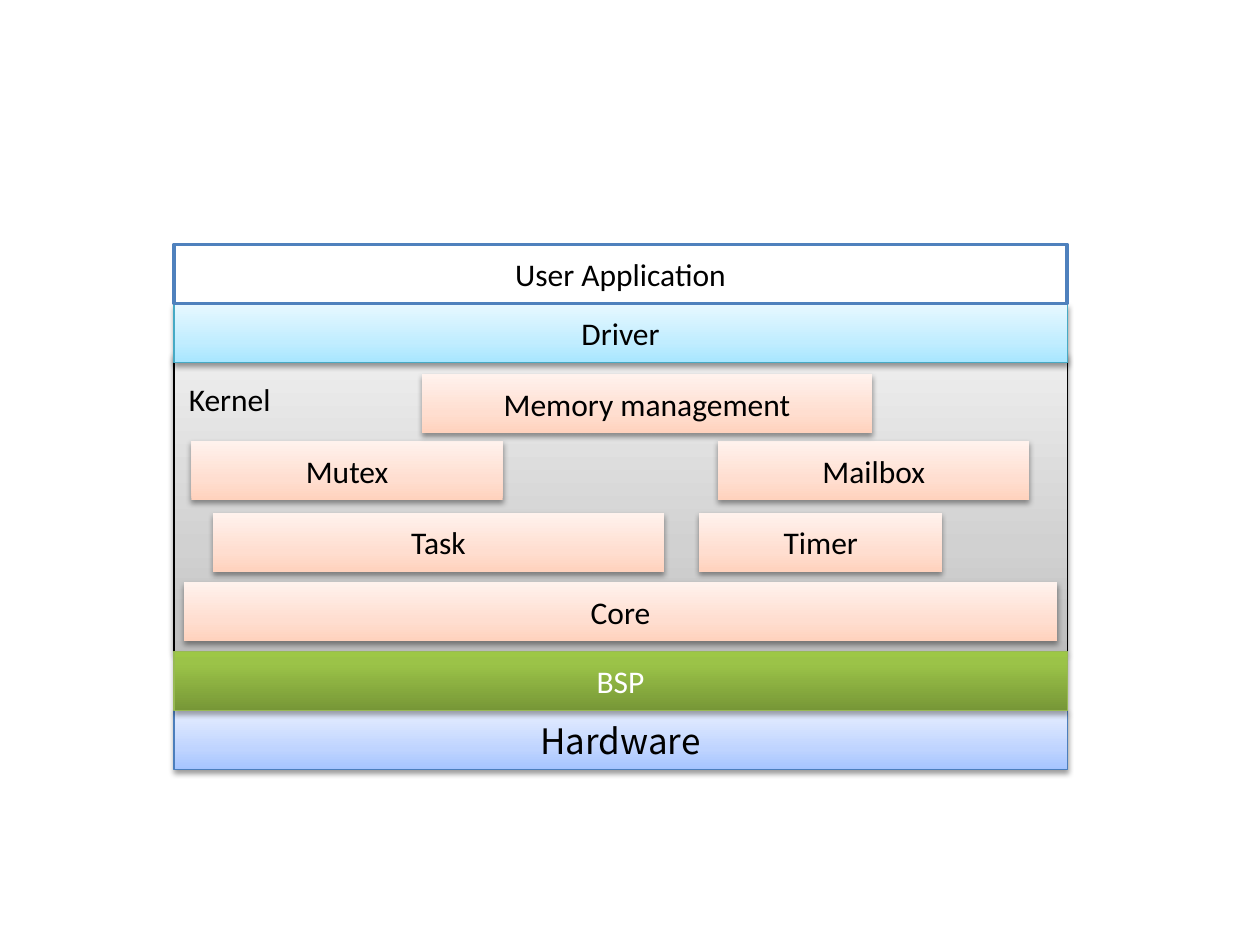
from copy import deepcopy

from lxml import etree
from pptx import Presentation
from pptx.dml.color import RGBColor
from pptx.enum.shapes import MSO_SHAPE
from pptx.enum.text import MSO_ANCHOR, MSO_AUTO_SIZE, PP_ALIGN
from pptx.oxml.ns import qn
from pptx.util import Inches, Pt

RECT = MSO_SHAPE.RECTANGLE
MIDDLE = MSO_ANCHOR.MIDDLE
CENTER = PP_ALIGN.CENTER
FIT = MSO_AUTO_SIZE.SHAPE_TO_FIT_TEXT

STACK_LEFT, STACK_WIDTH, BAR_HEIGHT = 1.38, 7.09, 0.47
KERNEL_TOP, KERNEL_HEIGHT = 2.81, 2.36
BSP_TOP = KERNEL_TOP + KERNEL_HEIGHT
APP_TOP = 1.94
BODY_FONT, HARDWARE_FONT = "Calibri", "Noto Sans CJK SC"

GRAY = ((0, "BDBDBD"), (0.35, "D1D1D1"), (1, "EEEEEE"))
BLUE = ((0, "A4C4FF"), (0.35, "BFD4FF"), (1, "E6EEFF"))
GREEN = ((0, "779737"), (0.8, "9BC348"), (1, "9DC746"))
PEACH = ((0, "FFD2BD"), (0.35, "FFDED0"), (1, "FFF2ED"))
CYAN = ((0, "A7E6FF"), (0.35, "C1EDFF"), (1, "E7F8FF"))

LOWER_LAYERS = [
    dict(top=KERNEL_TOP, height=KERNEL_HEIGHT, stops=GRAY, line="000000"),
    dict(text="Hardware", top=BSP_TOP + BAR_HEIGHT, stops=BLUE, line="4B7EBC",
         size=20, font=HARDWARE_FONT),
    dict(text="BSP", top=BSP_TOP, stops=GREEN, line="98B955", color="FFFFFF",
         shadow=(35, 1.8)),
]
MODULES = [
    ("Core", 1.46, 4.62, 6.93),
    ("Task", 1.69, 4.07, 3.58),
    ("Timer", 5.55, 4.07, 1.93),
    ("Mutex", 1.52, 3.5, 2.47),
    ("Mailbox", 5.7, 3.5, 2.47),
    ("Memory management", 3.35, 2.97, 3.57),
]
UPPER_LAYERS = [
    dict(text="Driver", top=APP_TOP + BAR_HEIGHT, stops=CYAN, line="46AAC5"),
    dict(text="User Application", top=APP_TOP, line="4F81BD", line_width=2,
         shadow=None),
]


def rgb(value):
    return RGBColor.from_string(value)


def fill_gradient(sp, stops):
    sp.fill.gradient()
    sp.fill.gradient_angle = 90
    stop_list = sp._element.spPr.find(".//" + qn("a:gsLst"))
    stop_list.append(deepcopy(stop_list[-1]))
    for stop, (position, color) in zip(sp.fill.gradient_stops, stops):
        stop.position = position
        stop.color.rgb = rgb(color)


def add_shadow(sp, opacity, distance):
    effects = sp._element.spPr.find(qn("a:effectLst"))
    outer = etree.SubElement(effects, qn("a:outerShdw"), blurRad=str(Pt(3.15)),
                             dist=str(Pt(distance)), dir="5400000", rotWithShape="0")
    color = etree.SubElement(outer, qn("a:srgbClr"), val="000000")
    etree.SubElement(color, qn("a:alpha"), val=str(opacity * 1000))


def set_text(sp, text, size=18, font=BODY_FONT, color="000000"):
    p = sp.text_frame.paragraphs[0]
    p.text = text
    p.font.size = Pt(size)
    p.font.name = font
    p.font.color.rgb = rgb(color)
    return p


def add_block(slide, top, text=None, left=STACK_LEFT, width=STACK_WIDTH,
              height=BAR_HEIGHT, stops=None, line=None, line_width=0.75,
              shadow=(38, 1.6), **font):
    sp = slide.shapes.add_shape(RECT, Inches(left), Inches(top), Inches(width), Inches(height))
    sp.shadow.inherit = False
    if stops:
        fill_gradient(sp, stops)
    else:
        sp.fill.solid()
        sp.fill.fore_color.rgb = rgb("FFFFFF")
    if line:
        sp.line.color.rgb = rgb(line)
        sp.line.width = Pt(line_width)
    else:
        sp.line.fill.background()
    if shadow:
        add_shadow(sp, *shadow)
    if text:
        sp.text_frame.vertical_anchor = MIDDLE
        set_text(sp, text, **font).alignment = CENTER


def main():
    """Build the layered diagram of an embedded operating system."""
    prs = Presentation()
    prs.slide_width, prs.slide_height = Inches(10), Inches(7.5)
    slide = prs.slides.add_slide(prs.slide_layouts[6])
    for layer in LOWER_LAYERS:
        add_block(slide, **layer)
    for text, left, top, width in MODULES:
        add_block(slide, top, text, left, width, stops=PEACH)
    for layer in UPPER_LAYERS:
        add_block(slide, **layer)
    label = slide.shapes.add_textbox(Inches(1.4), Inches(2.97), Inches(0.92), Inches(0.4))
    label.text_frame.auto_size = FIT
    set_text(label, "Kernel")
    prs.save("out.pptx")


main()
